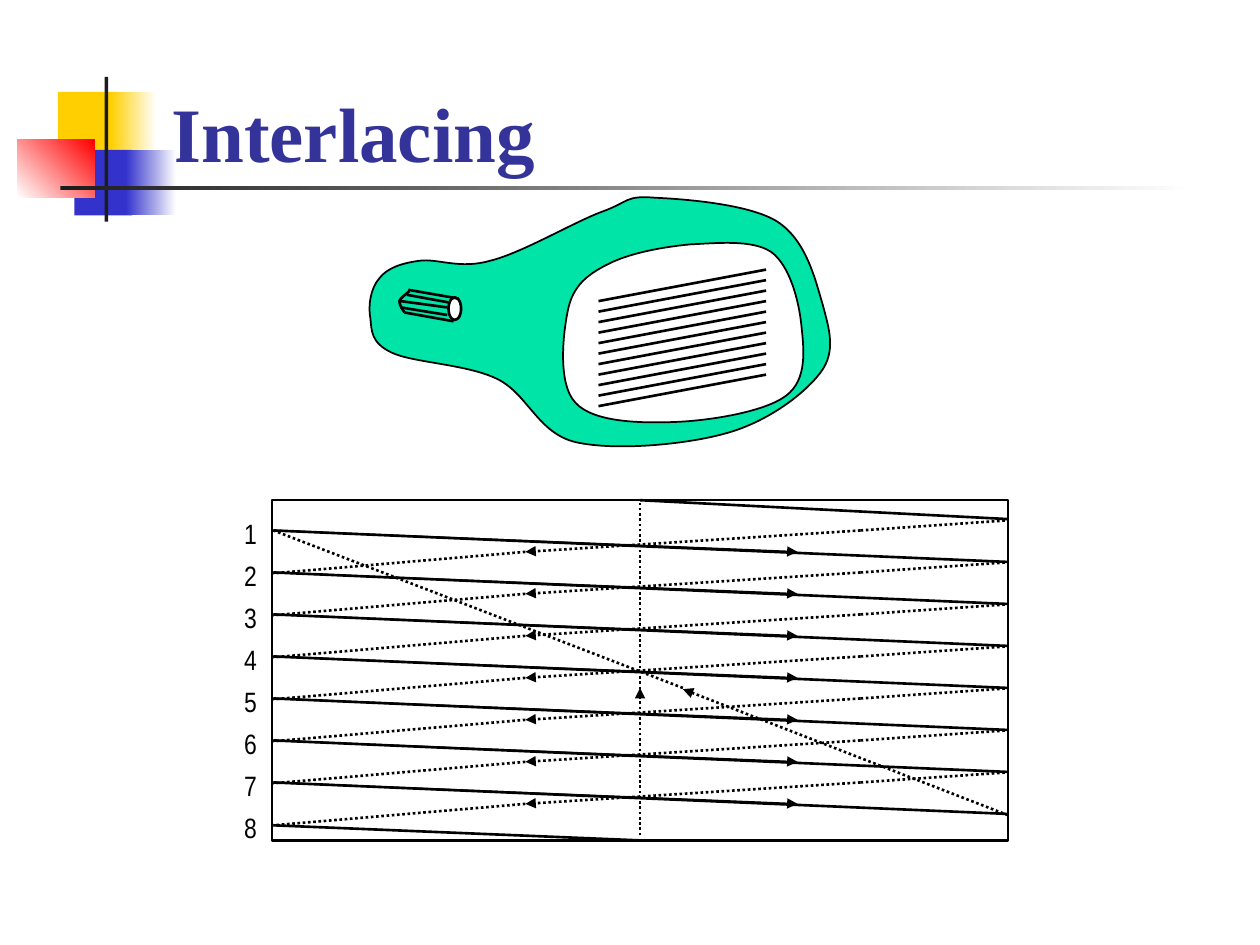
from lxml import etree
from pptx import Presentation, util as u
from pptx.dml.color import RGBColor
from pptx.enum import dml, shapes, text
from pptx.oxml.ns import qn

BLACK, WHITE = "000000", "FFFFFF"
PITCH = 1 / 3  # distance between scan lines, inches

# Outlines in inches: a start point, then curves of two handles and an end
TUBE = [(3.01, 2.21),
        (3.07, 2.13, 3.18, 2.09, 3.33, 2.07), (3.47, 2.05, 3.65, 2.14, 3.89, 2.07),
        (4.14, 2.01, 4.56, 1.76, 4.78, 1.68), (5, 1.6, 4.96, 1.55, 5.2, 1.57),
        (5.43, 1.58, 5.95, 1.62, 6.17, 1.76), (6.4, 1.91, 6.47, 2.22, 6.53, 2.42),
        (6.58, 2.61, 6.64, 2.79, 6.51, 2.96), (6.38, 3.13, 6.09, 3.35, 5.76, 3.44),
        (5.44, 3.53, 4.88, 3.58, 4.57, 3.51), (4.27, 3.44, 4.19, 3.13, 3.95, 3.01),
        (3.71, 2.89, 3.28, 2.88, 3.11, 2.8), (2.94, 2.72, 2.95, 2.62, 2.94, 2.53),
        (2.92, 2.43, 2.94, 2.29, 3.01, 2.21)]
SCREEN = [(4.51, 2.45),
          (4.55, 2.27, 4.66, 2.18, 4.82, 2.1), (4.99, 2.01, 5.26, 1.96, 5.48, 1.94),
          (5.69, 1.93, 5.97, 1.9, 6.12, 2), (6.27, 2.11, 6.34, 2.39, 6.36, 2.58),
          (6.38, 2.77, 6.41, 3.01, 6.24, 3.14), (6.07, 3.27, 5.63, 3.34, 5.35, 3.35),
          (5.07, 3.36, 4.71, 3.35, 4.57, 3.2), (4.42, 3.05, 4.47, 2.63, 4.51, 2.45)]
GUN_BACK = [(3.25, 2.31), (3.22, 2.34, 3.18, 2.36, 3.17, 2.39),
            (3.17, 2.42, 3.19, 2.45, 3.21, 2.48)]
GUN_EDGES = [(3.21, 2.48, 3.6, 2.55), (3.24, 2.3, 3.64, 2.37), (3.18, 2.39, 3.55, 2.44),
             (3.18, 2.44, 3.55, 2.5), (3.23, 2.34, 3.56, 2.4)]


def lengths(*inches):
    return [u.Cm(value * 2.54) for value in inches]


def colour(value):
    return RGBColor.from_string(value)


def set_values(target, values):
    for name, value in values.items():
        setattr(target, name, value)


def paint(shape, fill=None, line=None, width=1.5):
    shape.shadow.inherit = False
    if fill:
        shape.fill.solid()
        shape.fill.fore_color.rgb = colour(fill)
    else:
        shape.fill.background()
    if line:
        shape.line.color.rgb = colour(line)
        shape.line.width = u.Pt(width)
    else:
        shape.line.fill.background()


def add_box(parent, place, fill=None, line=None, kind=shapes.MSO_SHAPE.RECTANGLE):
    box = parent.add_shape(kind, *lengths(*place))
    paint(box, fill, line)
    return box


def add_fade(parent, place, first, last, angle=0):
    box = add_box(parent, place)
    box.fill.gradient()
    box.fill.gradient_angle = angle
    for stop, value in zip(box.fill.gradient_stops, (first, last)):
        stop.color.rgb = colour(value)


def add_line(parent, ends, width=1.5, dotted=False, arrow=False):
    line = parent.add_connector(shapes.MSO_CONNECTOR.STRAIGHT, *lengths(*ends))
    line.line.color.rgb = colour(BLACK)
    line.line.width = u.Pt(width)
    if dotted:
        line.line.dash_style = dml.MSO_LINE.ROUND_DOT
    if arrow:
        etree.SubElement(line.line._get_or_add_ln(), qn("a:tailEnd"), type="triangle")
    etree.SubElement(line._element.spPr, qn("a:effectLst"))
    return line


def add_curve(parent, outline, fill=None, width=1.0, closed=True):
    # The builder takes whole units, here hundredths of an inch
    numbers = [round(value * 100) for part in outline for value in part]
    points = list(zip(numbers[::2], numbers[1::2]))
    builder = parent.build_freeform(*points[0], scale=u.Cm(0.0254))
    builder.add_line_segments(points[1:], close=closed)
    shape = builder.convert_to_shape()
    # Every three straight segments become one Bezier curve
    segments = list(shape._element.iter(qn("a:lnTo")))
    for start in range(0, 3 * (len(outline) - 1), 3):
        curve = etree.Element(qn("a:cubicBezTo"))
        segments[start].addprevious(curve)
        for segment in segments[start:start + 3]:
            curve.append(segment[0])
            segment.getparent().remove(segment)
    paint(shape, fill, BLACK, width)


def add_label(parent, place, words):
    box = parent.add_textbox(*lengths(*place))
    set_values(box.text_frame, {"word_wrap": False,
                                "auto_size": text.MSO_AUTO_SIZE.SHAPE_TO_FIT_TEXT})
    span = box.text_frame.paragraphs[0].add_run()
    span.text = words
    set_values(span.font, {"name": "Arial Narrow", "size": u.Pt(16)})
    span.font.color.rgb = colour(BLACK)


def add_decoration(parent):
    add_box(parent, (0.46, 0.73, 0.48, 0.52), "FFCF01")
    add_fade(parent, (0.88, 0.73, 0.36, 0.52), "FFCF01", WHITE)
    add_box(parent, (0.59, 1.19, 0.46, 0.52), "3333CC")
    add_fade(parent, (1, 1.19, 0.4, 0.52), "3333CC", WHITE)
    add_fade(parent, (0.14, 1.11, 0.61, 0.46), WHITE, "FF0000", angle=45)
    add_box(parent, (0.83, 0.61, 0.03, 1.15), "1C1C1C")
    add_fade(parent, (0.48, 1.48, 9, 0.03), "1C1C1C", WHITE)


def fill_title(title, words):
    place = lengths(1.26, 0.21, 8.52, 1.25)
    set_values(title, dict(zip(("left", "top", "width", "height"), place)))
    set_values(title.text_frame, {"vertical_anchor": text.MSO_ANCHOR.BOTTOM,
                                  "auto_size": text.MSO_AUTO_SIZE.NONE})
    para = title.text_frame.paragraphs[0]
    para.alignment = text.PP_ALIGN.LEFT
    span = para.add_run()
    span.text = words
    set_values(span.font, {"name": "Times New Roman", "size": u.Pt(44), "bold": True})
    span.font.color.rgb = colour("333399")


def add_tube(parent):
    add_curve(parent, TUBE, "00E4A8")
    add_curve(parent, SCREEN, WHITE)
    # Electron gun
    gun = parent.add_group_shape().shapes
    add_box(gun, (3.56, 2.36, 0.1, 0.18), WHITE, BLACK, shapes.MSO_SHAPE.OVAL)
    add_curve(gun, GUN_BACK, width=1.5, closed=False)
    for edge in GUN_EDGES:
        add_line(gun, edge)
    # Lines on the screen
    for row in range(11):
        y = 2.14 + row * PITCH / 4
        add_line(parent, (6.08, y, 4.75, y + 0.25))


def add_raster(parent):
    raster = parent.add_group_shape().shapes
    frame = add_box(raster, (2.16, 3.97, 5.84, 2.7), line=BLACK)
    # Scan lines with their dotted flybacks
    for row in range(7):
        y = 4.21 + row * PITCH
        add_line(raster, (8, y + 0.25, 2.17, y))
        add_line(raster, (2.17, y, 6.33, y + 0.17), width=1, arrow=True)
        add_line(raster, (6.83, y, 4.17, y + 0.17), dotted=True, arrow=True)
        add_line(raster, (4.17, y + 0.17, 2.17, y + 0.34), dotted=True)
        add_line(raster, (6.83, y, 8, y - 0.08), dotted=True)
    # Half lines at the top and bottom
    add_line(raster, (5.08, 3.97, 8, 4.12)).begin_connect(frame, 0)
    add_line(raster, (2.17, 6.55, 5.08, 6.67)).end_connect(frame, 2)
    # Returns between the two fields
    add_line(raster, (5.08, 6.63, 5.08, 5.46), dotted=True, arrow=True)
    add_line(raster, (5.08, 5.47, 5.08, 3.97), dotted=True).end_connect(frame, 0)
    add_line(raster, (8, 6.47, 5.42, 5.47), dotted=True, arrow=True)
    add_line(raster, (5.42, 5.46, 2.17, 4.21), dotted=True)
    # Line numbers
    for row in range(8):
        add_label(raster, (1.84, 4.05 + row * PITCH, 0.3, 0.37), str(row + 1))


def main():
    deck = Presentation()
    deck.slide_width, deck.slide_height = u.Cm(25.4), u.Cm(19.05)
    page = deck.slides.add_slide(deck.slide_layouts[5])
    add_decoration(page.shapes)
    fill_title(page.shapes.title, "Interlacing")
    add_tube(page.shapes)
    add_raster(page.shapes)
    deck.save("out.pptx")


if __name__ == "__main__":
    main()
